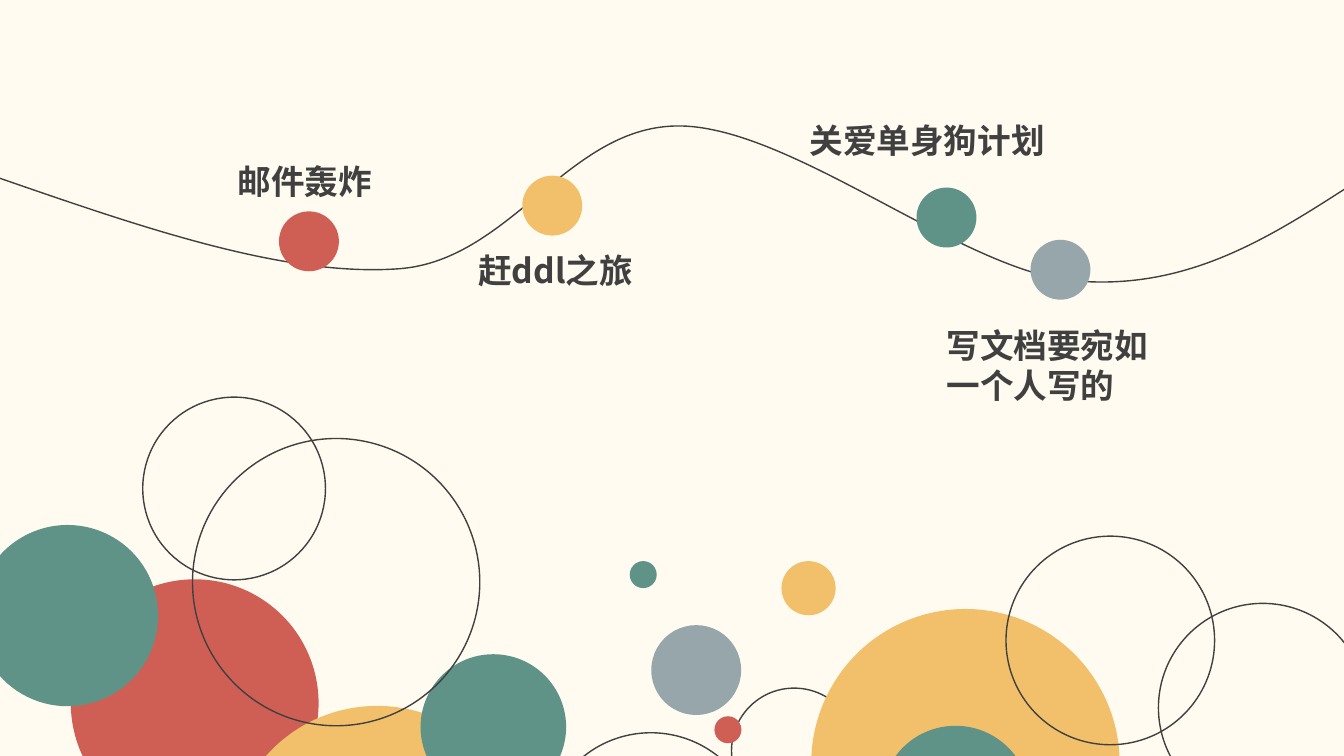
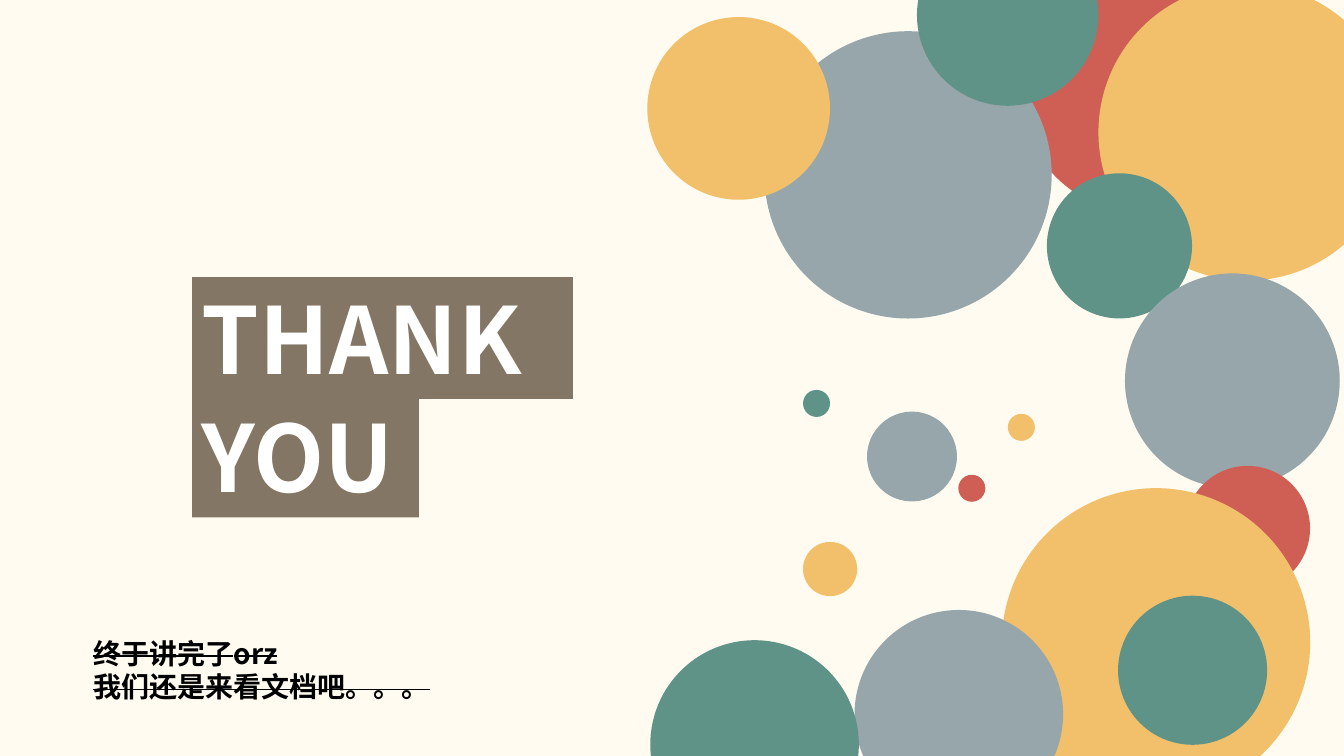
"""Build a circle-themed timeline slide and a closing slide."""
from dataclasses import dataclass
from typing import Optional

from lxml import etree
from pptx import Presentation
from pptx.dml.color import RGBColor
from pptx.enum import shapes, text
from pptx.oxml.ns import qn
from pptx.util import Pt

CREAM = RGBColor(0xFF, 0xFB, 0xF0)
RED = RGBColor(0xCF, 0x5F, 0x55)
YELLOW = RGBColor(0xF2, 0xC0, 0x6B)
GREEN = RGBColor(0x5F, 0x93, 0x87)
GREY = RGBColor(0x97, 0xA6, 0xAB)
BROWN = RGBColor(0x83, 0x76, 0x64)
INK = RGBColor(0x40, 0x40, 0x40)
WHITE = RGBColor(0xFF, 0xFF, 0xFF)
BLACK = RGBColor(0x00, 0x00, 0x00)
FONT = "Noto Sans CJK SC"
DOT = 42.8


@dataclass(frozen=True)
class Circle:
    x: float
    y: float
    d: float
    color: Optional[RGBColor] = None


@dataclass(frozen=True)
class Label:
    lines: tuple[str, ...]
    x: float
    y: float
    w: float
    h: float
    size: float = 24
    color: RGBColor = INK
    fill: Optional[RGBColor] = None
    wrap: bool = True
    strike: bool = False


TIMELINE_CIRCLES = (
    Circle(50.6, 413.8, 177, RED),
    Circle(163.4, 504.2, 212, YELLOW),
    Circle(300.4, 467.3, 104, GREEN),
    Circle(388.2, 523.4, 153.5),
    Circle(137.5, 313.2, 205.2),
    Circle(-16.5, 375, 129.5, GREEN),
    Circle(522.5, 491.5, 89.5),
    Circle(579.5, 435, 220.3, YELLOW),
    Circle(629.3, 518.4, 106.5, GREEN),
    Circle(718.6, 383, 149),
    Circle(827.5, 431, 149),
    Circle(465.2, 446.5, 64.2, GREY),
    Circle(510.3, 511.6, 19.3, RED),
    Circle(449.8, 400.8, 19.3, GREEN),
    Circle(558.2, 400.8, 38.7, YELLOW),
    Circle(102, 283.7, 130.5),
)
TIMELINE_DOTS = (
    Circle(199.3, 151, DOT, RED),
    Circle(373.1, 125.5, DOT, YELLOW),
    Circle(654.7, 134, DOT, GREEN),
    Circle(736.1, 171.3, DOT, GREY),
)
TIMELINE_LABELS = (
    Label(("邮件轰炸",), 162.6, 111.5, 224, 36),
    Label(("赶ddl之旅",), 334.6, 175, 224, 36),
    Label(("关爱单身狗计划",), 571.2, 82, 224, 36),
    Label(("写文档要宛如一个人写的",), 669, 228.2, 178, 65.5),
)
WAVE_START = (0, 127.4)
WAVE_CURVES = (
    ((101.5, 162.5), (203.5, 198), (285, 192)),
    ((366, 186), (406, 88.5), (486.5, 90)),
    ((566.5, 91.5), (687.5, 193), (766, 200.5)),
    ((845, 208), (903, 172), (960, 135.4)),
)
CLOSING_CIRCLES = (
    Circle(728.5, -24.5, 177, RED),
    Circle(784.6, -11.5, 212, YELLOW),
    Circle(747.8, 123.8, 103.7, GREEN),
    Circle(803.6, 195.3, 153.4, GREY),
    Circle(546, 22.3, 205.2, GREY),
    Circle(655, -54, 129.6, GREEN),
    Circle(846.5, 332.8, 89.3, RED),
    Circle(715.6, 348.7, 220.3, YELLOW),
    Circle(798.6, 425.5, 106.5, GREEN),
    Circle(610.4, 435.7, 149, GREY),
    Circle(464.5, 457.3, 149, GREEN),
    Circle(619.3, 294, 64.2, GREY),
    Circle(684.5, 339.1, 19.3, RED),
    Circle(719.9, 295.6, 19.3, YELLOW),
    Circle(573.6, 278.5, 19.3, GREEN),
    Circle(573.6, 387.1, 38.7, YELLOW),
    Circle(462.4, 12.2, 130.5, YELLOW),
)
CLOSING_LABELS = (
    Label(("THANK",), 137.2, 198, 272, 87, 66, WHITE, BROWN),
    Label(("YOU",), 137.2, 282.5, 162, 87, 66, WHITE, BROWN, wrap=False),
    Label(("终于讲完了orz", "我们还是来看文档吧。。。"), 59.6, 451, 257, 55.5,
          20, BLACK, wrap=False, strike=True),
)


def style_shape(sp, fill: Optional[RGBColor]) -> None:
    """Fill a shape, or outline it when it has no fill."""
    sp.shadow.inherit = False
    if fill is None:
        sp.fill.background()
        sp.line.color.rgb = INK
        sp.line.width = Pt(1)
    else:
        sp.fill.solid()
        sp.fill.fore_color.rgb = fill
        sp.line.fill.background()


def add_circle(s, c: Circle) -> None:
    """Draw one filled or outlined circle."""
    sp = s.shapes.add_shape(shapes.MSO_SHAPE.OVAL, Pt(c.x), Pt(c.y), Pt(c.d), Pt(c.d))
    style_shape(sp, c.color)


def add_label(s, label: Label) -> None:
    """Draw a text box, or a filled rectangle with text."""
    box = Pt(label.x), Pt(label.y), Pt(label.w), Pt(label.h)
    if label.fill is None:
        sp = s.shapes.add_textbox(*box)
    else:
        sp = s.shapes.add_shape(shapes.MSO_SHAPE.RECTANGLE, *box)
        style_shape(sp, label.fill)
    tf = sp.text_frame
    tf.word_wrap = label.wrap
    tf.auto_size = text.MSO_AUTO_SIZE.SHAPE_TO_FIT_TEXT
    tf.vertical_anchor = text.MSO_ANCHOR.TOP
    tf.text = "\n".join(label.lines)
    for p in tf.paragraphs:
        p.alignment = text.PP_ALIGN.LEFT
        font = p.font
        font.name, font.size, font.bold = FONT, Pt(label.size), True
        font.color.rgb = label.color
        etree.SubElement(font._rPr, qn("a:ea")).set("typeface", FONT)
        if label.strike:
            font._rPr.set("strike", "sngStrike")


def add_wave(s) -> None:
    """Draw the timeline as one open line of cubic curves."""
    fb = s.shapes.build_freeform(Pt(WAVE_START[0]), Pt(WAVE_START[1]))
    fb.add_line_segments([(Pt(x), Pt(y)) for *_, (x, y) in WAVE_CURVES], close=False)
    sp = fb.convert_to_shape()
    style_shape(sp, None)
    for segment, curve in zip(list(sp._element.iter(qn("a:lnTo"))), WAVE_CURVES):
        cubic = etree.Element(qn("a:cubicBezTo"))
        for x, y in curve:
            pt = etree.SubElement(cubic, qn("a:pt"))
            pt.set("x", str(Pt(x) - sp.left))
            pt.set("y", str(Pt(y) - sp.top))
        segment.getparent().replace(segment, cubic)


def build_timeline(s) -> None:
    """Draw the timeline slide."""
    for c in TIMELINE_CIRCLES:
        add_circle(s, c)
    add_wave(s)
    for c in TIMELINE_DOTS:
        add_circle(s, c)
    for label in TIMELINE_LABELS:
        add_label(s, label)


def build_closing(s) -> None:
    """Draw the closing slide."""
    for c in CLOSING_CIRCLES:
        add_circle(s, c)
    for label in CLOSING_LABELS:
        add_label(s, label)


def main() -> None:
    """Build and save the presentation."""
    prs = Presentation()
    prs.slide_width, prs.slide_height = Pt(960), Pt(540)
    background = prs.slide_master.background.fill
    background.solid()
    background.fore_color.rgb = CREAM
    for build in (build_timeline, build_closing):
        build(prs.slides.add_slide(prs.slide_layouts[6]))
    prs.save("out.pptx")


if __name__ == "__main__":
    main()
